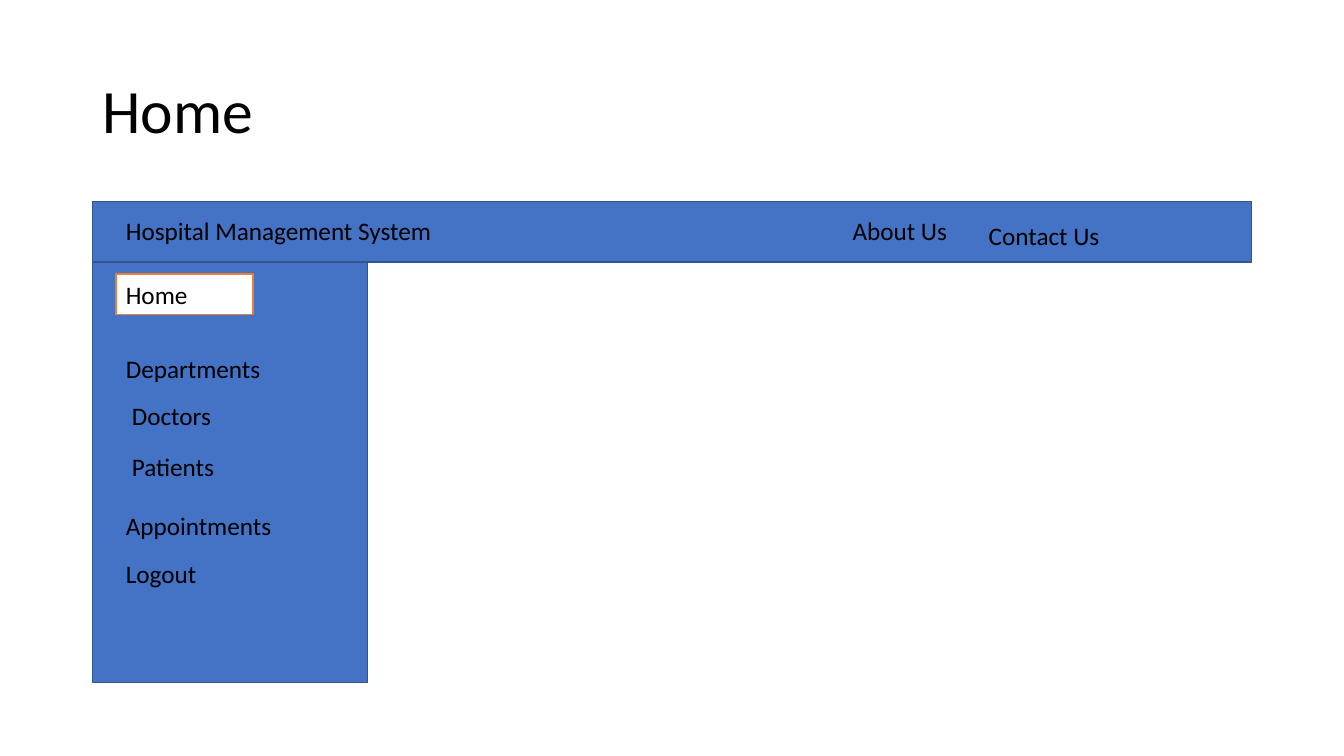
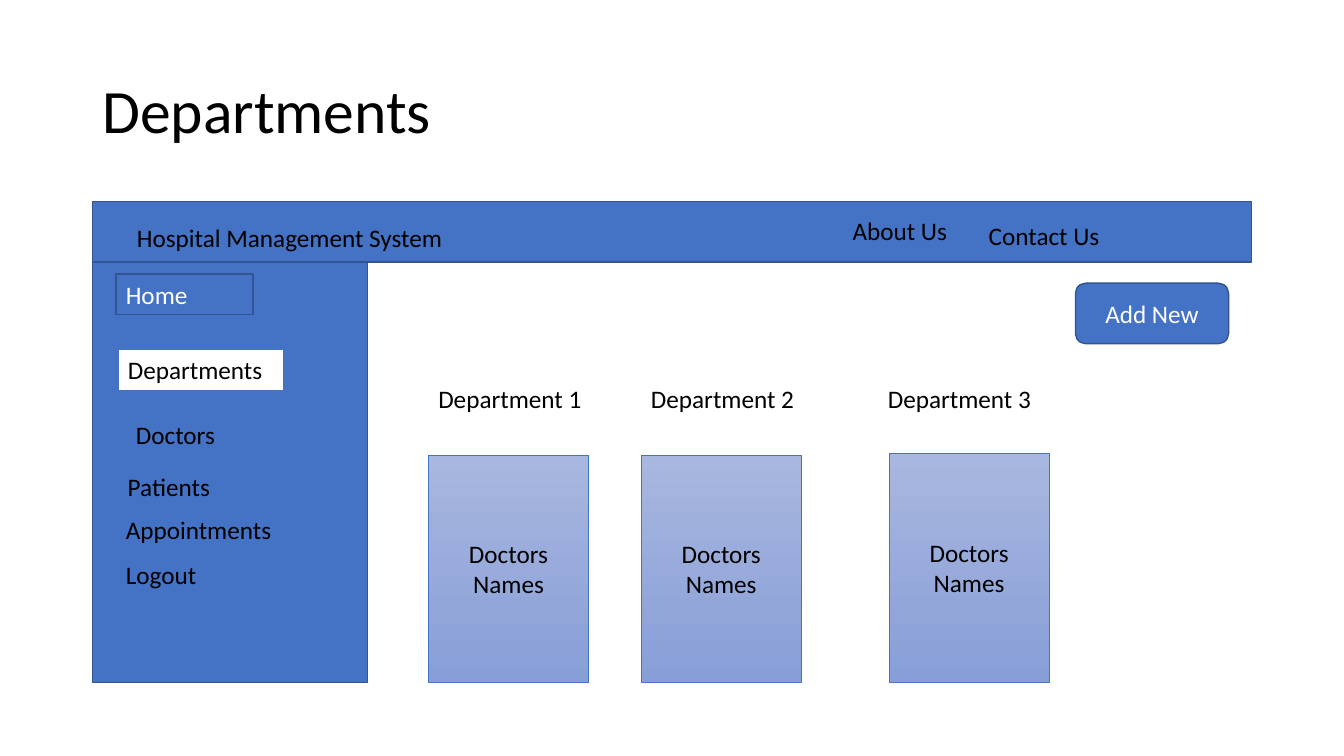
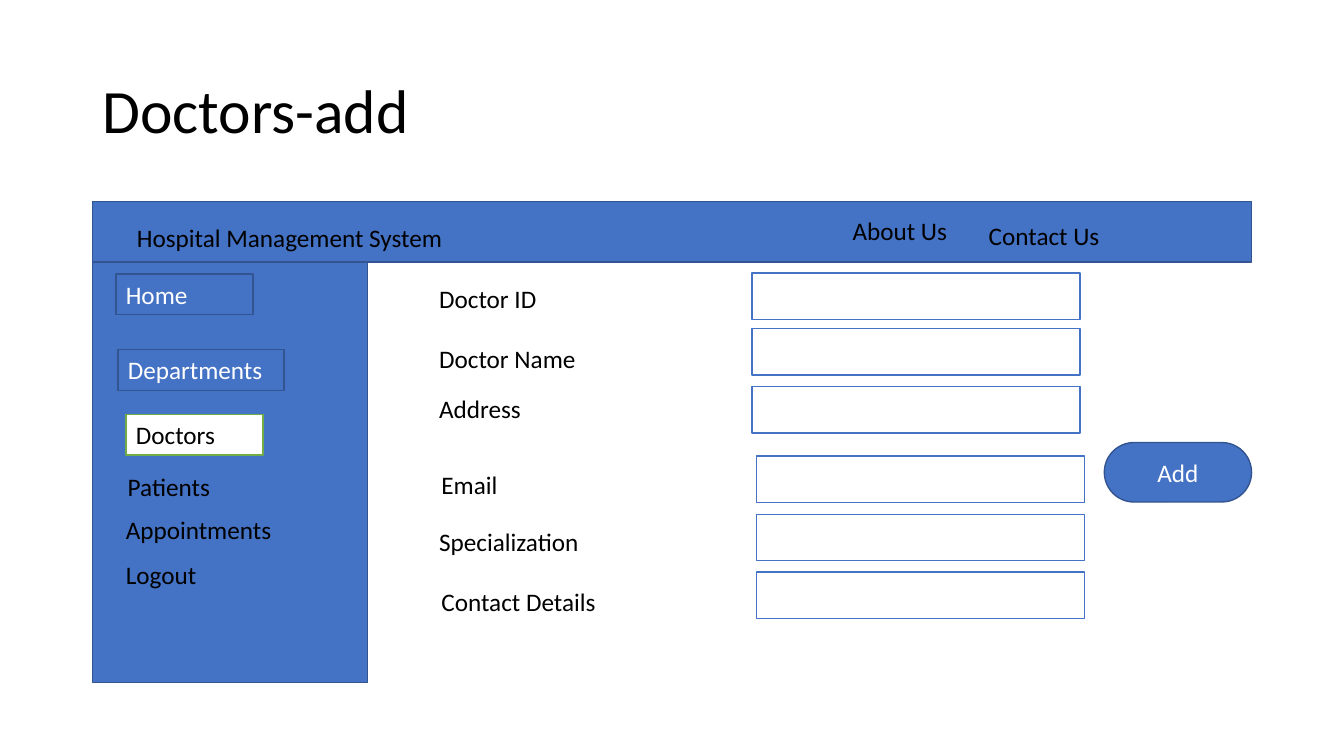
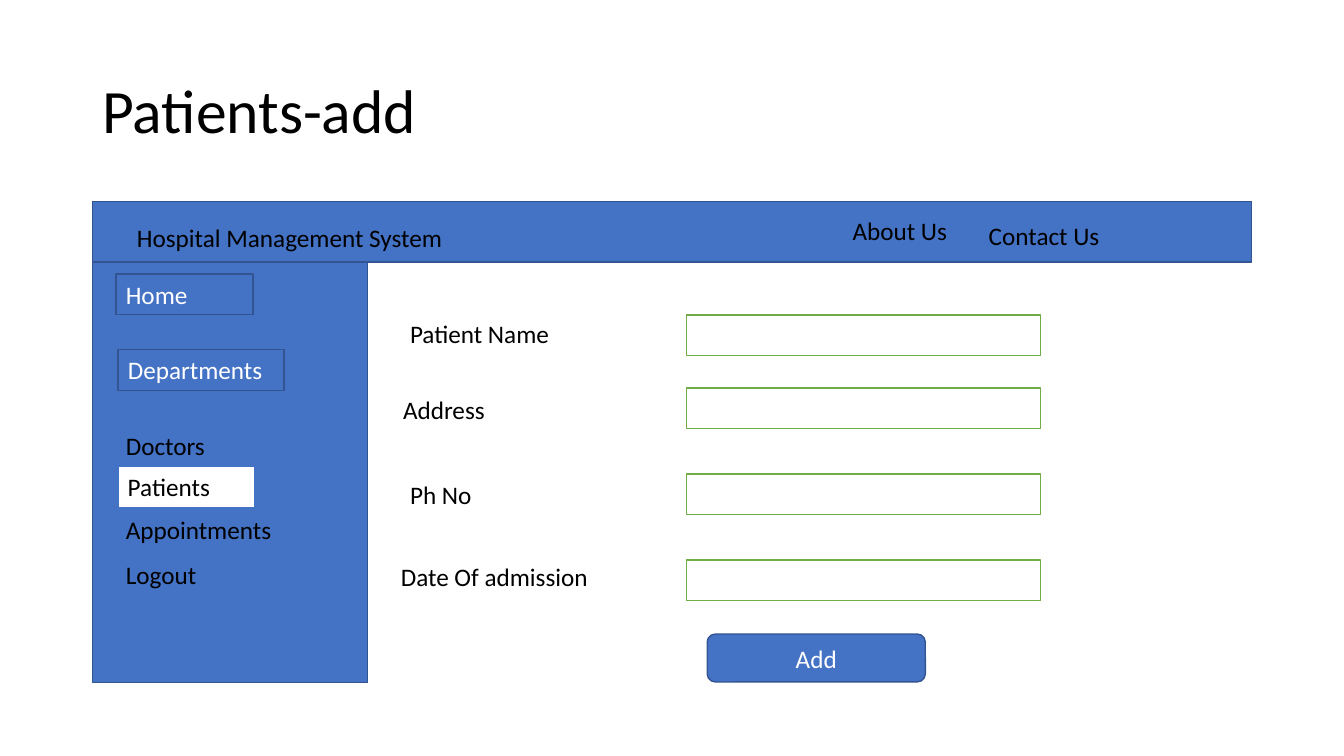
from pptx import Presentation
from pptx import util as u
from pptx.dml.color import RGBColor
from pptx.enum import shapes, text

# Colours
BLUE = RGBColor(0x44, 0x72, 0xC4)
NAVY = RGBColor(0x32, 0x54, 0x91)
ORANGE = RGBColor(0xED, 0x7D, 0x31)
GREEN = RGBColor(0x70, 0xAD, 0x47)
WHITE = RGBColor(0xFF, 0xFF, 0xFF)
BLACK = RGBColor(0, 0, 0)
CARD_TOP = RGBColor(0xA8, 0xB7, 0xDF)
CARD_BOTTOM = RGBColor(0x88, 0x9E, 0xD7)

RECT = shapes.MSO_SHAPE.RECTANGLE
ROUND = shapes.MSO_SHAPE.ROUNDED_RECTANGLE

# Shared formats, in points
ROW = 29.08
TITLE_BOX = (66, 28.75, 828, 104.4)
TITLE = {"size": u.Pt(44)}
BODY = {"size": u.Pt(18)}
LABEL = {"word_wrap": True, "auto_size": text.MSO_AUTO_SIZE.SHAPE_TO_FIT_TEXT,
         "vertical_anchor": text.MSO_ANCHOR.TOP}
CENTRED = {"word_wrap": True, "vertical_anchor": text.MSO_ANCHOR.MIDDLE}
LEFT = {"alignment": text.PP_ALIGN.LEFT}
CENTRE = {"alignment": text.PP_ALIGN.CENTER}

# Menu entries: left, top, width
MENU = {
    "Home": (82.8, 195.8, 97.9),
    "Departments": (84.2, 249.8, 118.8),
    "Doctors": (90, 295.9, 97.9),
    "Patients": (84.2, 333.4, 97.9),
    "Appointments": (82.8, 363.6, 131.8),
    "Logout": (82.8, 396, 97.9),
}
HOME_MENU = {
    **MENU,
    "Departments": (82.8, 249.1, 117.4),
    "Doctors": (87.1, 282.2, 97.9),
    "Patients": (87.1, 319, 97.9),
    "Appointments": (82.8, 360.7, 131.8),
    "Logout": (82.8, 395.3, 97.9),
}
PATIENT_MENU = {**MENU, "Doctors": (82.8, 303.8, 97.9)}


def apply(target, values):
    for name, value in values.items():
        setattr(target, name, value)


def write(shape, words, font, color, frame, para_format):
    apply(shape.text_frame, frame)
    para = shape.text_frame.paragraphs[0]
    apply(para, para_format)
    span = para.add_run()
    span.text = words
    apply(span.font, {"name": "Calibri", **font})
    span.font.color.rgb = color


def add_label(page, words, left, top, width):
    box = page.shapes.add_textbox(*map(u.Pt, (left, top, width, ROW)))
    write(box, words, BODY, BLACK, LABEL, LEFT)


def add_panel(page, area, fill, line, kind=RECT, weight=1):
    panel = page.shapes.add_shape(kind, *map(u.Pt, area))
    panel.shadow.inherit = False
    panel.fill.solid()
    panel.fill.fore_color.rgb = fill
    panel.line.color.rgb = line
    panel.line.width = u.Pt(weight)
    return panel


def add_button(page, words, area, corner=None):
    button = add_panel(page, area, BLUE, NAVY, ROUND)
    if corner is not None:
        button.adjustments[0] = corner
    write(button, words, BODY, WHITE, CENTRED, CENTRE)


def add_card(page, words, area):
    card = add_panel(page, area, CARD_TOP, BLUE, weight=0.5)
    card.fill.gradient()
    card.fill.gradient_angle = 270
    for stop, color in zip(card.fill.gradient_stops, (CARD_TOP, CARD_BOTTOM)):
        stop.color.rgb = color
    write(card, words, BODY, BLACK, CENTRED, CENTRE)


def add_menu(page, menu, active, accent, linked):
    for words, (left, top, width) in menu.items():
        area = (left, top, width, ROW)
        if words == active:
            item = add_panel(page, area, WHITE, accent)
            write(item, words, BODY, BLACK, LABEL, LEFT)
        elif words in linked:
            item = add_panel(page, area, BLUE, NAVY)
            write(item, words, BODY, WHITE, LABEL, LEFT)
        else:
            add_label(page, words, left, top, width)


def add_screen(deck, title, menu, active, accent, linked=(), brand=(90.7, 155.5)):
    """Add a page with its title, top bar and side menu."""
    page = deck.slides.add_slide(deck.slide_layouts[6])
    box = page.shapes.add_textbox(*map(u.Pt, TITLE_BOX))
    write(box, title, TITLE, BLACK, CENTRED, {"line_spacing": 0.9})
    # Top bar
    add_panel(page, (66, 144, 828, 43.2), BLUE, NAVY)
    add_label(page, "Hospital Management System", *brand, 241.2)
    add_label(page, "About Us", 601.9, 150.5, 97.9)
    add_label(page, "Contact Us", 699.1, 154.1, 128.9)
    # Side menu
    add_panel(page, (66, 187.2, 196.6, 300.2), BLUE, NAVY)
    add_menu(page, menu, active, accent, linked)
    return page


def add_form(page, rows, label_width, field_size, line):
    for words, label_left, label_top, field_left, field_top in rows:
        add_label(page, words, label_left, label_top, label_width)
        add_panel(page, (field_left, field_top, *field_size), WHITE, line)


def add_departments(deck):
    page = add_screen(deck, "Departments", MENU, "Departments", BLUE, ("Home",))
    add_button(page, "Add New", (768.2, 202.3, 109.4, 43.2))
    columns = [(306, 306, 325.4), (457.9, 457.9, 325.4), (627.1, 635, 323.6)]
    for number, (label_left, card_left, card_top) in enumerate(columns, 1):
        add_label(page, f"Department {number}", label_left, 270, 144)
        add_card(page, "Doctors Names", (card_left, card_top, 114.5, 487.2 - card_top))


def add_doctor_form(deck):
    page = add_screen(deck, "Doctors-add", MENU, "Doctors", GREEN,
                      ("Home", "Departments"))
    rows = [
        ("Doctor ID", 306.6, 198.7, 537.1, 195.1),
        ("Doctor Name", 306.6, 241.5, 537.1, 234.7),
        ("Address", 306.6, 277.2, 537.1, 276.1),
        ("Email", 308.2, 331.9, 540.5, 325.6),
        ("Specialization", 306.6, 372.4, 540.5, 367.4),
        ("Contact Details", 308.2, 415.4, 540.5, 408.6),
    ]
    add_form(page, rows, 184.3, (234.3, 33.2), BLUE)
    add_button(page, "Add", (788.8, 316.1, 105.2, 42.5), 0.5)


def add_patient_form(deck):
    page = add_screen(deck, "Patients-add", PATIENT_MENU, "Patients", BLUE,
                      ("Home", "Departments"))
    rows = [
        ("Patient Name", 285.8, 223.9, 490.2, 225.1),
        ("Address", 280.8, 278.2, 490.2, 277.2),
        ("Ph No", 285.8, 338.6, 490.2, 338.6),
        ("Date Of admission", 279.2, 397.4, 490.2, 400),
    ]
    add_form(page, rows, 159.8, (253, ROW), GREEN)
    add_button(page, "Add", (505.2, 452.9, 155.8, 34.2))


def main():
    deck = Presentation()
    deck.slide_width, deck.slide_height = u.Pt(960), u.Pt(540)
    add_screen(deck, "Home", HOME_MENU, "Home", ORANGE, brand=(82.8, 150.5))
    add_departments(deck)
    add_doctor_form(deck)
    add_patient_form(deck)
    deck.save("out.pptx")


main()
